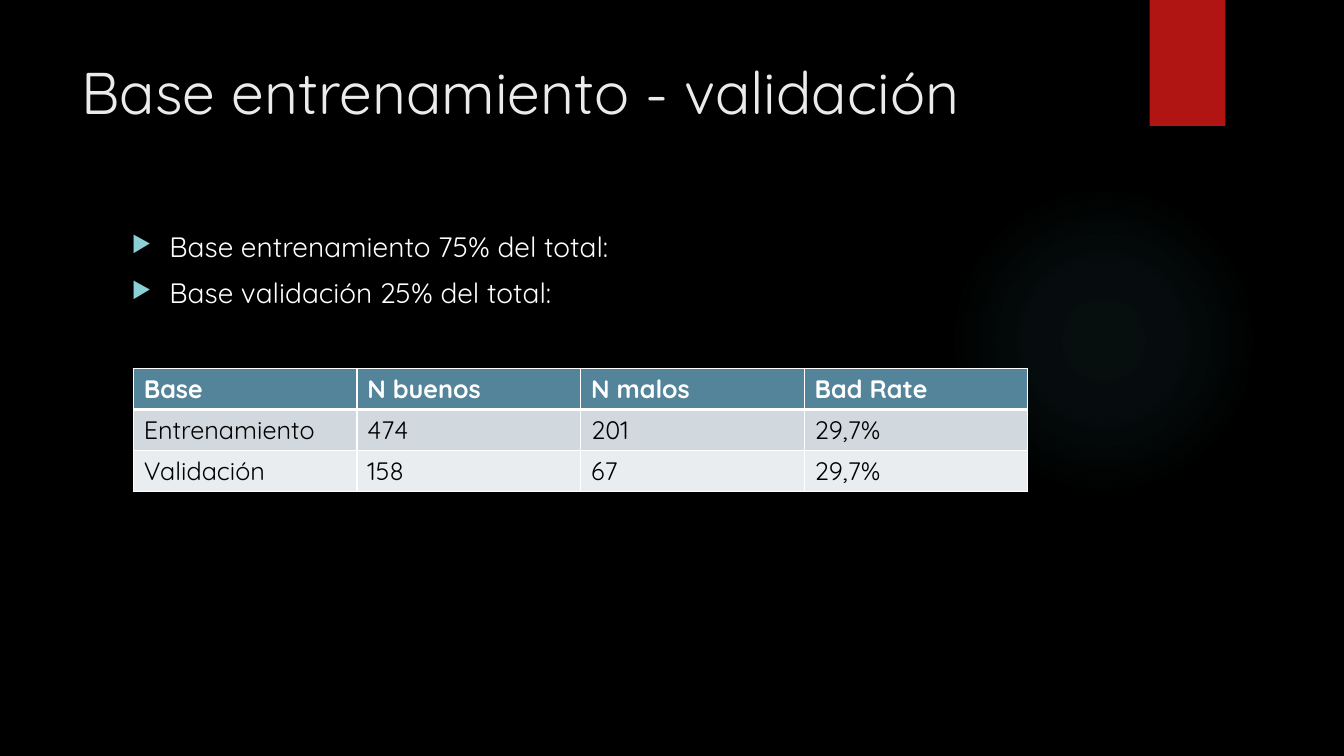
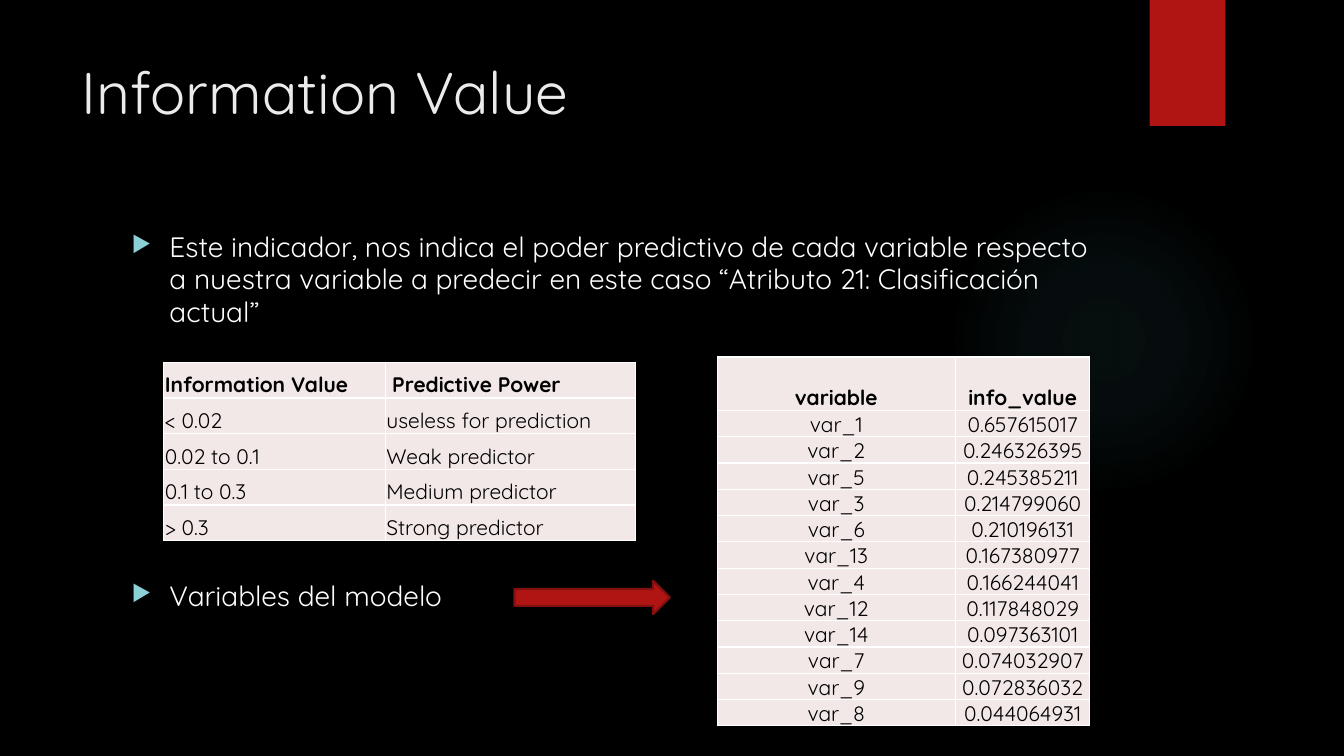
from dataclasses import dataclass
from typing import Any

from pptx import Presentation
from pptx.dml.color import RGBColor
from pptx.enum.shapes import MSO_SHAPE as Kind
from pptx.enum.text import MSO_ANCHOR as Anchor, MSO_AUTO_SIZE as Fit, PP_ALIGN as Align
from pptx.oxml import parse_xml
from pptx.oxml.ns import nsdecls
from pptx.util import Emu, Pt

PX = 9525
FONT = "Quicksand"
BLACK = RGBColor(0x00, 0x00, 0x00)
WHITE = RGBColor(0xFF, 0xFF, 0xFF)
PALE = RGBColor(0xEB, 0xEB, 0xEB)
RED = RGBColor(0xB0, 0x15, 0x13)
DARK = RGBColor(0x82, 0x10, 0x0E)
GLOW = RGBColor(0x50, 0xB9, 0xC1)
AQUA = RGBColor(0x8A, 0xD0, 0xD6)
STEEL = RGBColor(0x54, 0x84, 0x9A)
MIST = RGBColor(0xD1, 0xD9, 0xDE)
FOG = RGBColor(0xE9, 0xED, 0xEF)
ROSE = RGBColor(0xF2, 0xE8, 0xE7)


@dataclass(frozen=True)
class Box:
    left: int
    top: int
    width: int
    height: int

    def emu(self) -> tuple[Emu, ...]:
        return tuple(px(n) for n in (self.left, self.top, self.width, self.height))


@dataclass(frozen=True)
class Point:
    text: str
    gap: int = 10


@dataclass(frozen=True)
class Look:
    size: int
    fills: tuple[RGBColor, ...]
    ink: RGBColor
    inset: tuple[int, int, int, int]
    anchor: Any
    rule: int = 1


@dataclass(frozen=True)
class Grid:
    left: int
    top: int
    cols: tuple[int, ...]
    head: int
    row: int
    look: Look
    rows: tuple[tuple[str, ...], ...]
    align: Any = Align.LEFT


TITLE = Box(68, 48, 988, 147)
BODY = Box(116, 216, 939, 441)
HALO = Box(903, 176, 296, 296)
BAND = Box(1095, 0, 72, 120)
ARROW = Box(490, 553, 148, 32)

BANDED = Look(18, (STEEL, MIST, FOG), WHITE, (10, 5, 10, 5), Anchor.TOP, 3)
PLAIN = Look(15, (ROSE, ROSE, ROSE), BLACK, (1, 1, 1, 0), Anchor.BOTTOM)

SPLIT = Grid(127, 351, (213,) * 4, 39, 39, BANDED, (
    ("Base", "N buenos", "N malos", "Bad Rate"),
    ("Entrenamiento", "474", "201", "29,7%"),
    ("Validación", "158", "67", "29,7%"),
))
POWER = Grid(156, 345, (211, 238), 34, 34, PLAIN, (
    ("Information Value", " Predictive Power"),
    ("< 0.02", "useless for prediction"),
    ("0.02 to 0.1", "Weak predictor"),
    ("0.1 to 0.3", "Medium predictor"),
    ("> 0.3", "Strong predictor"),
))
VALUES = Grid(683, 340, (227, 128), 51, 25, PLAIN, (
    ("variable", "info_value"),
    ("var_1", "0.657615017"),
    ("var_2", "0.246326395"),
    ("var_5", "0.245385211"),
    ("var_3", "0.214799060"),
    ("var_6", "0.210196131"),
    ("var_13", "0.167380977"),
    ("var_4", "0.166244041"),
    ("var_12", "0.117848029"),
    ("var_14", "0.097363101"),
    ("var_7", "0.074032907"),
    ("var_9", "0.072836032"),
    ("var_8", "0.044064931"),
), Align.CENTER)


def px(count: int) -> Emu:
    return Emu(count * PX)


def apply(target: Any, values: dict[str, Any]) -> None:
    for name, value in values.items():
        setattr(target, name, value)


def write(para: Any, text: str, size: int, ink: RGBColor, bold: bool = False) -> None:
    run = para.add_run()
    run.text = text
    apply(run.font, {"name": FONT, "size": Pt(size), "bold": bold})
    run.font.color.rgb = ink


def shape(slide: Any, kind: Any, box: Box, fill: RGBColor) -> Any:
    item = slide.shapes.add_shape(kind, *box.emu())
    item.shadow.inherit = False
    item.fill.solid()
    item.fill.fore_color.rgb = fill
    item.line.fill.background()
    return item


def halo(slide: Any) -> None:
    item = shape(slide, Kind.OVAL, HALO, GLOW)
    stops = "".join(
        f'<a:gs pos="{pos * 1000}"><a:srgbClr val="{GLOW}">'
        f'<a:alpha val="{alpha * 1000}"/></a:srgbClr></a:gs>'
        for pos, alpha in ((0, 7), (36, 6), (69, 0))
    )
    fade = parse_xml(
        f'<a:gradFill {nsdecls("a")}><a:gsLst>{stops}</a:gsLst><a:path path="circle">'
        '<a:fillToRect l="50000" t="50000" r="50000" b="50000"/></a:path></a:gradFill>'
    )
    solid = item.fill._xPr.solidFill
    solid.getparent().replace(solid, fade)


def start(deck: Any, text: str) -> Any:
    slide = deck.slides.add_slide(deck.slide_layouts[5])
    halo(slide)
    shape(slide, Kind.RECTANGLE, BAND, RED)
    title = slide.shapes.title
    apply(title, dict(zip(("left", "top", "width", "height"), TITLE.emu())))
    frame = title.text_frame
    apply(frame, {"vertical_anchor": Anchor.TOP, "word_wrap": True, "auto_size": Fit.NONE})
    para = frame.paragraphs[0]
    para.alignment = Align.LEFT
    write(para, text, 42, PALE)
    return slide


def bullets(slide: Any, points: tuple[Point, ...]) -> None:
    frame = slide.shapes.add_textbox(*BODY.emu()).text_frame
    frame.word_wrap = True
    for i, point in enumerate(points):
        para = frame.add_paragraph() if i else frame.paragraphs[0]
        apply(para, {"space_before": Pt(point.gap), "line_spacing": 0.96})
        props = para._p.get_or_add_pPr()
        props.set("marL", str(px(36)))
        props.set("indent", str(px(-36)))
        for part in (
            f'<a:buClr {nsdecls("a")}><a:srgbClr val="{AQUA}"/></a:buClr>',
            f'<a:buSzPct {nsdecls("a")} val="80000"/>',
            f'<a:buChar {nsdecls("a")} char="▶"/>',
        ):
            props.append(parse_xml(part))
        write(para, point.text, 20, WHITE)


def borders(cell: Any, top: int, base: int) -> None:
    props = cell._tc.get_or_add_tcPr()
    for side, width in (("L", 1), ("R", 1), ("T", top), ("B", base)):
        props.append(parse_xml(
            f'<a:ln{side} {nsdecls("a")} w="{Pt(width)}"><a:solidFill>'
            f'<a:srgbClr val="{WHITE}"/></a:solidFill></a:ln{side}>'
        ))


def table(slide: Any, grid: Grid) -> None:
    look = grid.look
    count = len(grid.rows)
    box = Box(grid.left, grid.top, sum(grid.cols), grid.head + grid.row * (count - 1))
    body = slide.shapes.add_table(count, len(grid.cols), *box.emu()).table
    apply(body, {"first_row": False, "horz_banding": False})
    for col, width in zip(body.columns, grid.cols):
        col.width = px(width)
    sides = ("margin_left", "margin_top", "margin_right", "margin_bottom")
    form = dict(zip(sides, map(px, look.inset))) | {"vertical_anchor": look.anchor}
    for r, texts in enumerate(grid.rows):
        head = r == 0
        body.rows[r].height = px(grid.head if head else grid.row)
        fill = look.fills[0] if head else look.fills[1 + (r - 1) % 2]
        for c, text in enumerate(texts):
            cell = body.cell(r, c)
            apply(cell, form)
            borders(cell, look.rule if r == 1 else 1, look.rule if head else 1)
            cell.fill.solid()
            cell.fill.fore_color.rgb = fill
            para = cell.text_frame.paragraphs[0]
            para.alignment = grid.align
            write(para, text, look.size, look.ink if head else BLACK, head)


def main() -> None:
    deck = Presentation()
    apply(deck, {"slide_width": px(1280), "slide_height": px(720)})
    back = deck.slide_master.background.fill
    back.solid()
    back.fore_color.rgb = BLACK

    slide = start(deck, "Base entrenamiento - validación")
    bullets(slide, (
        Point("Base entrenamiento 75% del total:"),
        Point("Base validación 25% del total:"),
    ))
    table(slide, SPLIT)

    slide = start(deck, "Information Value")
    bullets(slide, (
        Point("Este indicador, nos indica el poder predictivo de cada variable respecto "
              "a nuestra variable a predecir en este caso “Atributo 21: Clasificación actual”"),
        Point("Variables del modelo", 180),
    ))
    table(slide, POWER)
    table(slide, VALUES)
    arrow = shape(slide, Kind.RIGHT_ARROW, ARROW, RED)
    arrow.line.color.rgb = DARK
    arrow.line.width = Pt(1.5)

    deck.save("out.pptx")


if __name__ == "__main__":
    main()
